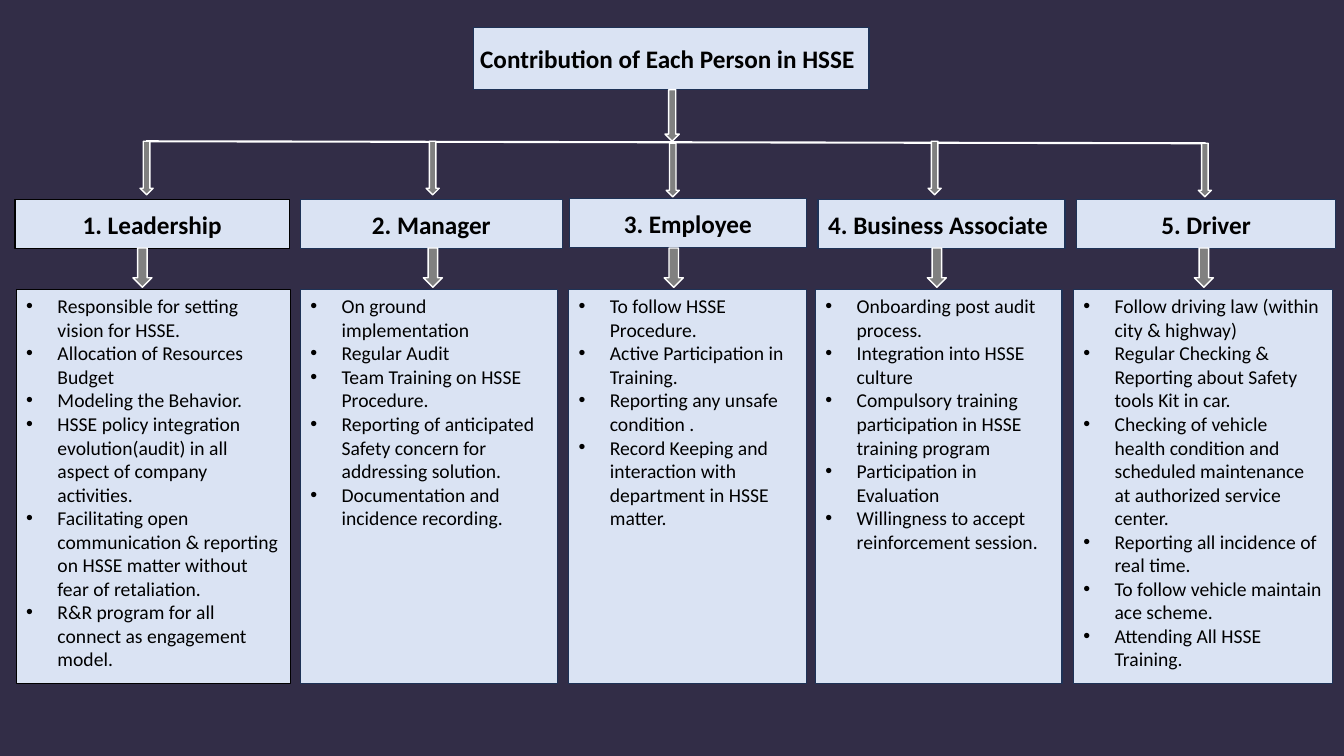
from pptx import Presentation
from pptx.dml.color import RGBColor
from pptx.enum.shapes import MSO_CONNECTOR, MSO_SHAPE
from pptx.enum.text import MSO_ANCHOR, MSO_AUTO_SIZE, PP_ALIGN
from pptx.oxml.ns import qn
from pptx.util import Cm, Pt
from lxml import etree

RECT, ARROW = MSO_SHAPE.RECTANGLE, MSO_SHAPE.DOWN_ARROW
LEFT, MID = PP_ALIGN.LEFT, PP_ALIGN.CENTER
TOP, CENTRE = MSO_ANCHOR.TOP, MSO_ANCHOR.MIDDLE

NIGHT = RGBColor(0x32, 0x2D, 0x47)
PALE = RGBColor(0xDA, 0xE3, 0xF3)
NAVY = RGBColor(0x1E, 0x32, 0x56)
BLACK = RGBColor(0, 0, 0)
WHITE = RGBColor(255, 255, 255)
GREY = RGBColor(0x80, 0x80, 0x80)

TITLE = "Contribution of Each Person in HSSE"
ROLES = [
    {"name": "1. Leadership", "edge": BLACK, "align": MID,
     "head": (0.38, 5.03, 6.91), "body": (0.41, 6.91),
     "upper": (3.53, 3.56), "lower": 3.35,
     "duties": ["Responsible for setting vision for HSSE.",
                "Allocation of Resources Budget",
                "Modeling the Behavior.",
                "HSSE policy integration evolution(audit) in all aspect of company activities.",
                "Facilitating open communication & reporting on HSSE matter without fear of retaliation.",
                "R&R program for all connect as engagement model."]},
    {"name": "2. Manager", "edge": NAVY, "align": MID,
     "head": (7.57, 5.03, 6.6), "body": (7.57, 6.48),
     "upper": (10.74, 3.56), "lower": 10.67,
     "duties": ["On ground implementation",
                "Regular Audit",
                "Team Training on HSSE Procedure.",
                "Reporting of anticipated Safety concern for addressing solution.",
                "Documentation and incidence recording."]},
    {"name": "3. Employee", "edge": NAVY, "align": MID,
     "head": (14.35, 5, 5.97), "body": (14.33, 5.99),
     "upper": (16.79, 3.61), "lower": 16.74,
     "duties": ["To follow HSSE Procedure.",
                "Active Participation in Training.",
                "Reporting any unsafe condition .",
                "Record Keeping and interaction with department in HSSE matter."]},
    {"name": "4. Business Associate", "edge": NAVY, "align": LEFT,
     "head": (20.62, 5.03, 6.22), "body": (20.55, 6.22),
     "upper": (23.39, 3.56), "lower": 23.37,
     "duties": ["Onboarding post audit process.",
                "Integration into HSSE culture",
                "Compulsory training participation in HSSE training program",
                "Participation in Evaluation",
                "Willingness to accept reinforcement session."]},
    {"name": "5. Driver", "edge": NAVY, "align": MID,
     "head": (27.13, 5.03, 6.53), "body": (27.05, 6.53),
     "upper": (30.2, 3.61), "lower": 30.1,
     "duties": ["Follow driving law (within city & highway)",
                "Regular Checking & Reporting about Safety tools Kit in car.",
                "Checking of vehicle health condition and scheduled maintenance at authorized service center.",
                "Reporting all incidence of real time.",
                "To follow vehicle maintain ace scheme.",
                "Attending All HSSE Training."]},
]
HEAD_H, BODY_TOP, BODY_H = 1.24, 7.29, 9.93
LOWER_TOP, LOWER_W, LOWER_H = 6.25, 0.48, 0.99
UPPER_W, UPPER_H = 0.33, 1.35
STEM = (16.76, 2.26, 0.36, 1.3)
BAR = (3.68, 3.56, 30.38, 3.61)
TITLE_BOX = (11.94, 0.69, 9.96, 1.57)
INDENT = Cm(0.79)


def paint(shape, fill, edge):
    shape.fill.solid()
    shape.fill.fore_color.rgb = fill
    shape.line.color.rgb = edge
    shape.line.width = Pt(1)


def add_box(slide, kind, box, fill, edge):
    shape = slide.shapes.add_shape(kind, *map(Cm, box))
    shape.shadow.inherit = False
    paint(shape, fill, edge)
    return shape


def add_mark(par):
    props = par._p.get_or_add_pPr()
    props.set("marL", str(INDENT))
    props.set("indent", str(-INDENT))
    etree.SubElement(props, qn("a:buFont")).set("typeface", "Arial")
    etree.SubElement(props, qn("a:buChar")).set("char", "•")


def write(shape, lines, size, bold, align, anchor, marks=False):
    frame = shape.text_frame
    frame.word_wrap = True
    frame.vertical_anchor = anchor
    for i, line in enumerate(lines):
        par = frame.paragraphs[0] if i == 0 else frame.add_paragraph()
        par.alignment = align
        if marks:
            add_mark(par)
        run = par.add_run()
        run.text = line
        look = {"name": "Calibri", "size": Pt(size), "bold": bold}
        for key, value in look.items():
            setattr(run.font, key, value)
        run.font.color.rgb = BLACK


def add_title(slide):
    title = slide.shapes.title
    for key, value in zip(("left", "top", "width", "height"), TITLE_BOX):
        setattr(title, key, Cm(value))
    paint(title, PALE, NAVY)
    write(title, [TITLE], 18, True, MID, CENTRE)
    frame = title.text_frame
    frame.auto_size = MSO_AUTO_SIZE.NONE
    frame.margin_left, frame.margin_right = Cm(0), Cm(0.2)
    frame.paragraphs[0].line_spacing = 1.0


def add_bar(slide):
    bar = slide.shapes.add_connector(MSO_CONNECTOR.STRAIGHT, *map(Cm, BAR))
    bar.line.color.rgb = WHITE
    bar.line.width = Pt(1.5)
    etree.SubElement(bar._element.spPr, qn("a:effectLst"))


def add_role(slide, role):
    left, top, width = role["head"]
    head = add_box(slide, RECT, (left, top, width, HEAD_H), PALE, role["edge"])
    write(head, [role["name"]], 18, True, role["align"], CENTRE)
    left, width = role["body"]
    body = add_box(slide, RECT, (left, BODY_TOP, width, BODY_H), PALE, role["edge"])
    write(body, role["duties"], 14, False, LEFT, TOP, True)
    arrows = [(*role["upper"], UPPER_W, UPPER_H),
              (role["lower"], LOWER_TOP, LOWER_W, LOWER_H)]
    for box in arrows:
        add_box(slide, ARROW, box, GREY, WHITE)


def main():
    deck = Presentation()
    deck.slide_width, deck.slide_height = Cm(33.87), Cm(19.05)
    slide = deck.slides.add_slide(deck.slide_layouts[5])
    slide.background.fill.solid()
    slide.background.fill.fore_color.rgb = NIGHT
    add_title(slide)
    add_bar(slide)
    add_box(slide, ARROW, STEM, GREY, WHITE)
    for role in ROLES:
        add_role(slide, role)
    deck.save("out.pptx")


if __name__ == "__main__":
    main()
